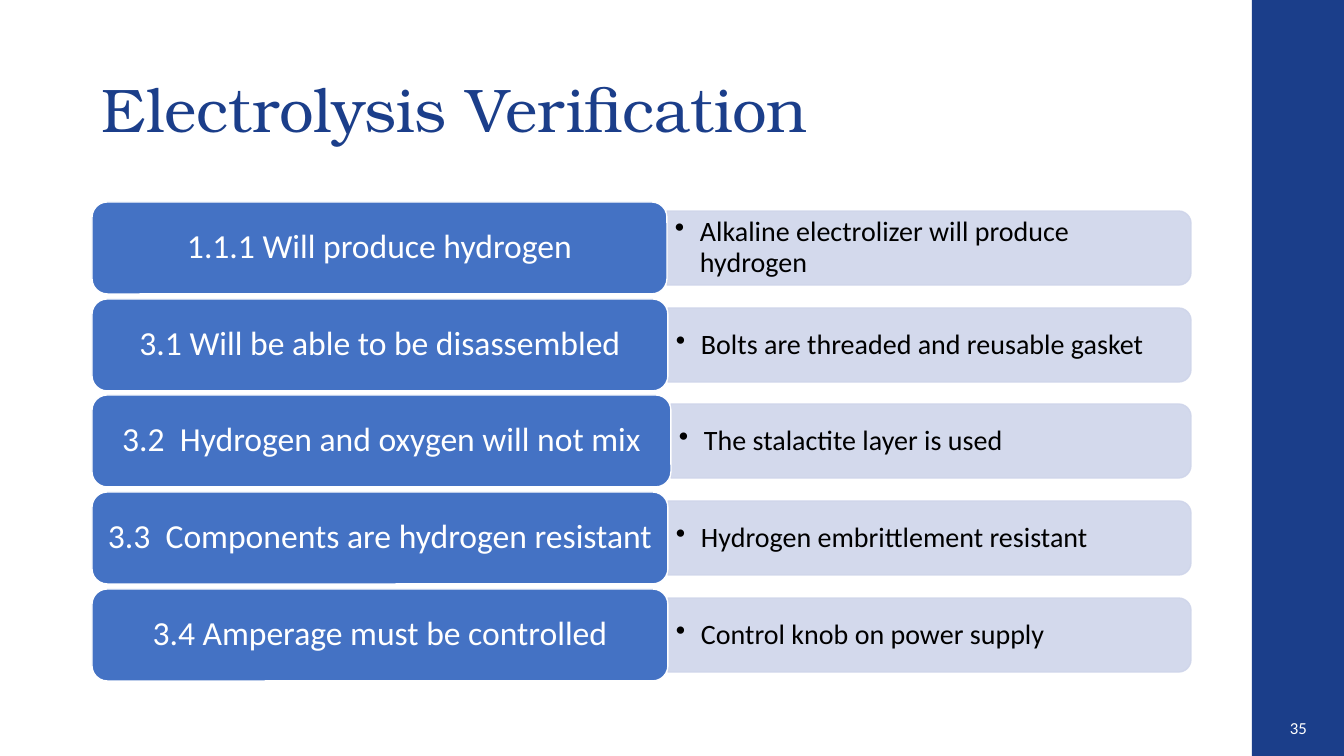
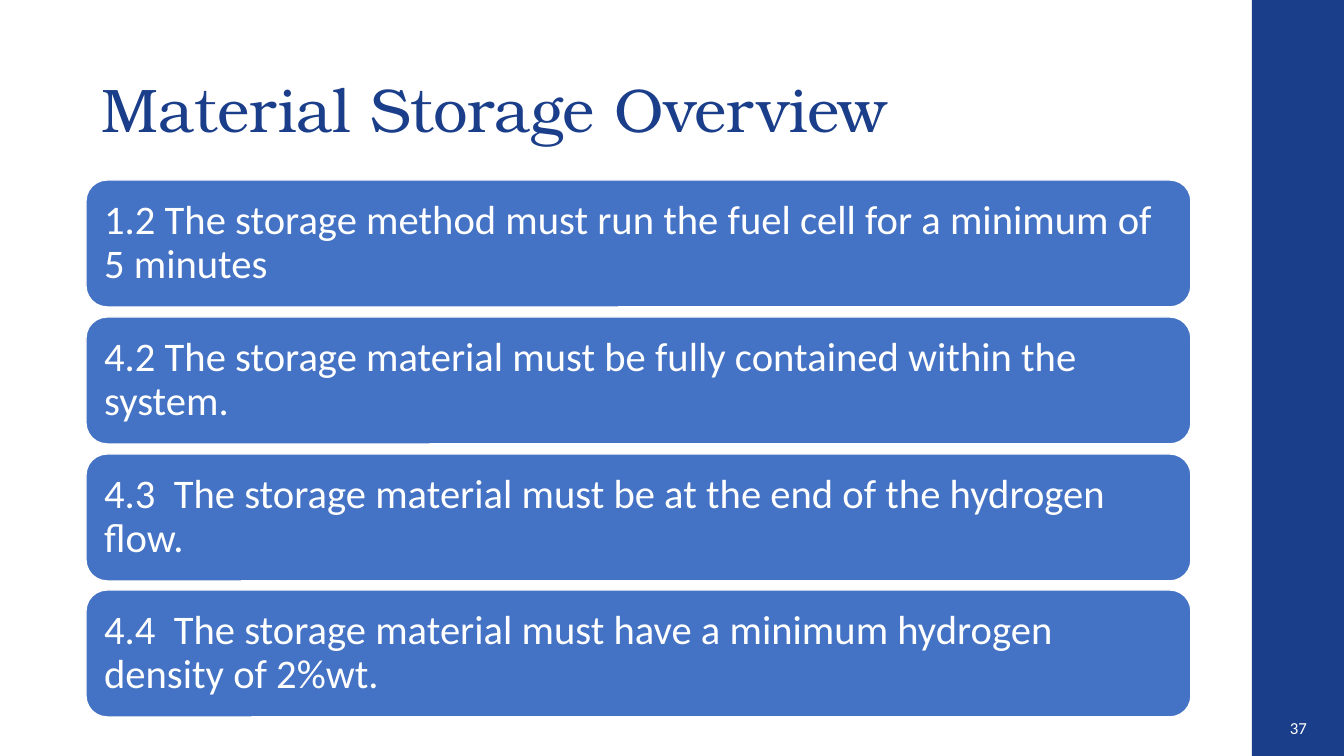
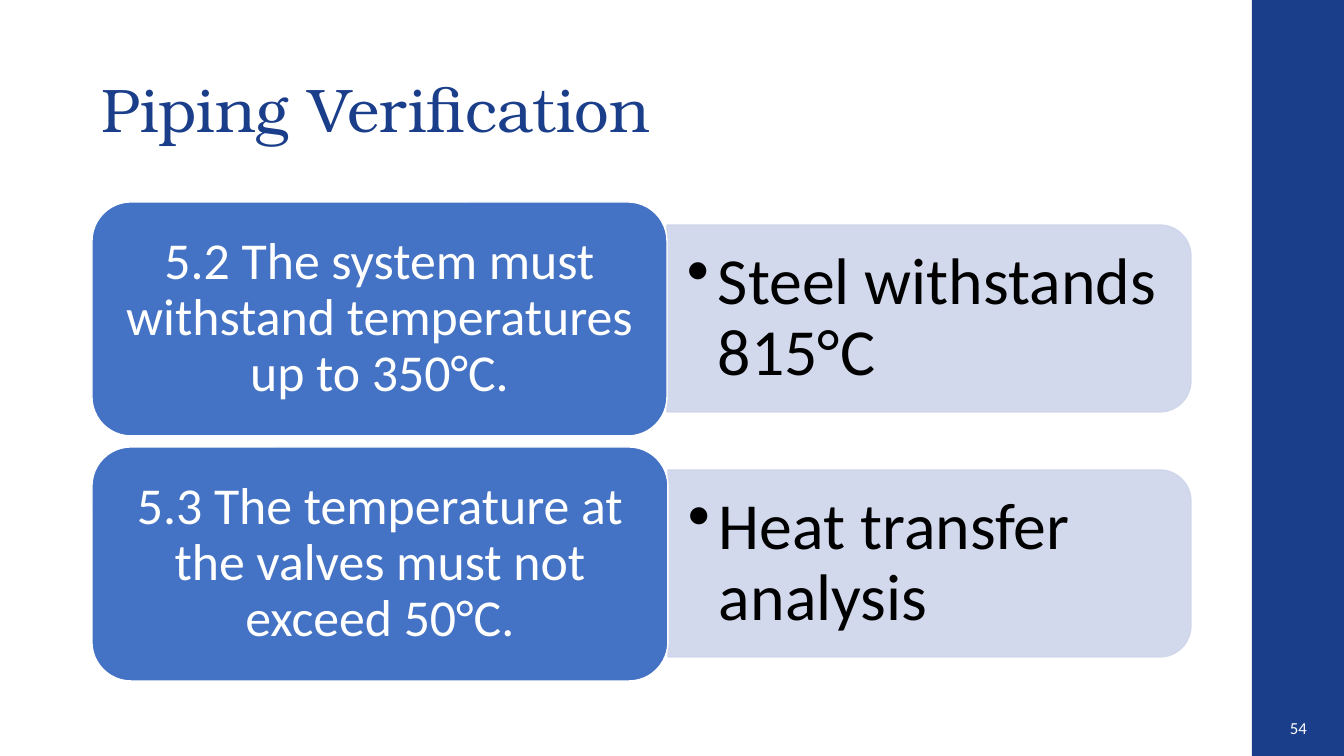
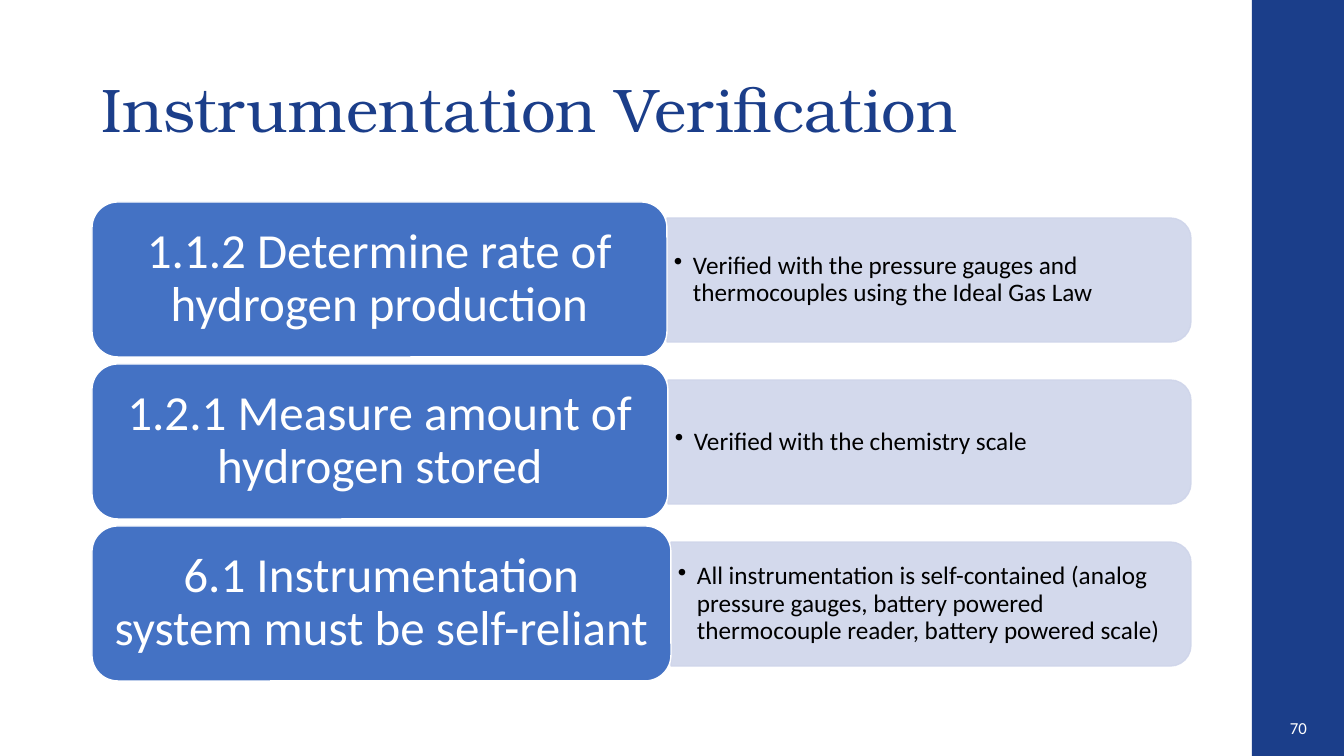
"""Builds four requirement slides that share a title style, a side band and a page number."""
from dataclasses import dataclass

from lxml.etree import SubElement
from pptx import Presentation
from pptx.dml.color import RGBColor as Color
from pptx.enum.shapes import MSO_SHAPE as Shape
from pptx.enum.text import MSO_ANCHOR as Anchor, MSO_AUTO_SIZE as AutoSize, PP_ALIGN as Align
from pptx.oxml.ns import qn
from pptx.util import Emu, Pt

PAGE_WIDTH, PAGE_HEIGHT = 1344, 756
EMU_PER_PX = 12192000 / PAGE_WIDTH


def px(length):
    return Emu(round(length * EMU_PER_PX))


@dataclass(frozen=True)
class Theme:
    navy: str = "1B3E8A"
    blue: str = "4472C4"
    pale: str = "CFD5EA"
    white: str = "FFFFFF"
    black: str = "000000"
    title_font: str = "TeX Gyre Bonum"
    body_font: str = "Calibri"
    title_size: int = 44
    number_size: int = 12
    statement_size: int = 29
    leading: float = 0.9
    pale_opacity: int = 90000


@dataclass(frozen=True)
class RowStyle:
    heading_size: int
    heading_insets: tuple
    detail_size: int
    detail_insets: tuple
    indent: int


COMPACT = RowStyle(24, (10, 5), 20, (8, 4), 25)
LARGE = RowStyle(37, (15, 8), 47, (20, 10), 31)
MEDIUM = RowStyle(35, (15, 7), 18, (7, 4), 19)


def stack(top, total, count, gap_ratio):
    height = total / (count + (count - 1) * gap_ratio)
    return [(round(top + index * height * (1 + gap_ratio)), round(height)) for index in range(count)]


class Deck:
    LEFT = 92
    DETAIL_RIGHT = 1191
    CORNER_INSET = 0.05

    def __init__(self, theme):
        self.theme = theme
        self.deck = Presentation()
        self.deck.slide_width, self.deck.slide_height = px(PAGE_WIDTH), px(PAGE_HEIGHT)
        self.page = None

    def add_page(self, title, number):
        theme = self.theme
        self.page = self.deck.slides.add_slide(self.deck.slide_layouts[5])
        self.shape(Shape.RECTANGLE, 1252, 0, 92, PAGE_HEIGHT, theme.navy)
        self.text_box(1276, 709, 41, 40, str(number), theme.number_size, theme.white, align=Align.RIGHT)
        heading = self.page.shapes.title
        self.place(heading, self.LEFT, 40, 1159, 146)
        self.set_text(heading, title, theme.title_size, theme.navy, font=theme.title_font)

    def place(self, box, left, top, width, height):
        box.left, box.top, box.width, box.height = map(px, (left, top, width, height))

    def shape(self, kind, left, top, width, height, fill, line=None):
        box = self.page.shapes.add_shape(kind, *map(px, (left, top, width, height)))
        box.shadow.inherit = False
        box.fill.solid()
        box.fill.fore_color.rgb = Color.from_string(fill)
        if line:
            box.line.color.rgb = Color.from_string(line)
            box.line.width = Pt(1)
        else:
            box.line.fill.background()
        return box

    def text_box(self, left, top, width, height, text, size, color, **options):
        box = self.page.shapes.add_textbox(*map(px, (left, top, width, height)))
        self.set_text(box, text, size, color, **options)

    def set_text(self, box, text, size, color, font=None, align=Align.LEFT, insets=(10, 5), indent=0):
        frame = box.text_frame
        frame.text = text
        frame.word_wrap = True
        frame.auto_size = AutoSize.NONE
        frame.vertical_anchor = Anchor.MIDDLE
        frame.margin_left = frame.margin_right = px(insets[0])
        frame.margin_top = frame.margin_bottom = px(insets[1])
        para = frame.paragraphs[0]
        para.alignment = align
        para.line_spacing = self.theme.leading
        if indent:
            properties = para._p.get_or_add_pPr()
            properties.set("marL", str(px(indent)))
            properties.set("indent", str(-px(indent)))
            SubElement(properties, qn("a:buChar")).set("char", "•")
        para.font.name = font or self.theme.body_font
        para.font.size = Pt(size)
        para.font.color.rgb = Color.from_string(color)

    def card(self, left, top, width, height, text, size, insets, align):
        box = self.shape(Shape.ROUNDED_RECTANGLE, left, top, width, height, self.theme.blue, self.theme.white)
        self.set_text(box, text, size, self.theme.white, align=align, insets=insets)

    def detail(self, left, top, height, text, style):
        length = self.DETAIL_RIGHT - left
        shift = (length - height) / 2
        tab = self.shape(Shape.ROUND_2_SAME_RECTANGLE, left + shift, top - shift, height, length,
                         self.theme.pale, self.theme.pale)
        tab.rotation = 90
        for color in tab.element.spPr.iter(qn("a:srgbClr")):
            SubElement(color, qn("a:alpha")).set("val", str(self.theme.pale_opacity))
        inset = round(height * self.CORNER_INSET)
        self.text_box(left, top + inset, length - inset, height - 2 * inset, text, style.detail_size,
                      self.theme.black, insets=style.detail_insets, indent=style.indent)

    def verification(self, title, number, style, rows):
        self.add_page(title, number)
        for (top, height), (heading, detail, width) in zip(stack(202, 479, len(rows), 0.05), rows):
            self.detail(self.LEFT + width, top + round(height * 0.1), round(height * 0.8), detail, style)
            self.card(self.LEFT, top, width, height, heading, style.heading_size,
                      style.heading_insets, Align.CENTER)

    def overview(self, title, number, statements):
        self.add_page(title, number)
        for (top, height), statement in zip(stack(180, 537, len(statements), 0.08), statements):
            self.card(86, top, 1105, height, statement, self.theme.statement_size, (12, 12), Align.LEFT)

    def save(self):
        self.deck.save("out.pptx")


def main():
    deck = Deck(Theme())
    deck.verification("Electrolysis Verification", 35, COMPACT, [
        ("1.1.1 Will produce hydrogen", "Alkaline electrolizer will produce hydrogen", 575),
        ("3.1 Will be able to be disassembled", "Bolts are threaded and reusable gasket", 576),
        ("3.2  Hydrogen and oxygen will not mix", "The stalactite layer is used", 579),
        ("3.3  Components are hydrogen resistant", "Hydrogen embrittlement resistant", 576),
        ("3.4 Amperage must be controlled", "Control knob on power supply", 576),
    ])
    deck.overview("Material Storage Overview", 37, [
        "1.2 The storage method must run the fuel cell for a minimum of 5 minutes",
        "4.2 The storage material must be fully contained within the system.",
        "4.3  The storage material must be at the end of the hydrogen flow.",
        "4.4  The storage material must have a minimum hydrogen density of 2%wt.",
    ])
    deck.verification("Piping Verification", 54, LARGE, [
        ("5.2 The system must withstand temperatures up to 350°C.", "Steel withstands 815°C", 575),
        ("5.3 The temperature at the valves must not exceed 50°C.", "Heat transfer analysis", 576),
    ])
    deck.verification("Instrumentation Verification", 70, MEDIUM, [
        ("1.1.2 Determine rate of hydrogen production",
         "Verified with the pressure gauges and thermocouples using the Ideal Gas Law", 575),
        ("1.2.1 Measure amount of hydrogen stored", "Verified with the chemistry scale", 576),
        ("6.1 Instrumentation system must be self-reliant",
         "All instrumentation is self-contained (analog pressure gauges, battery powered "
         "thermocouple reader, battery powered scale)", 579),
    ])
    deck.save()


if __name__ == "__main__":
    main()
